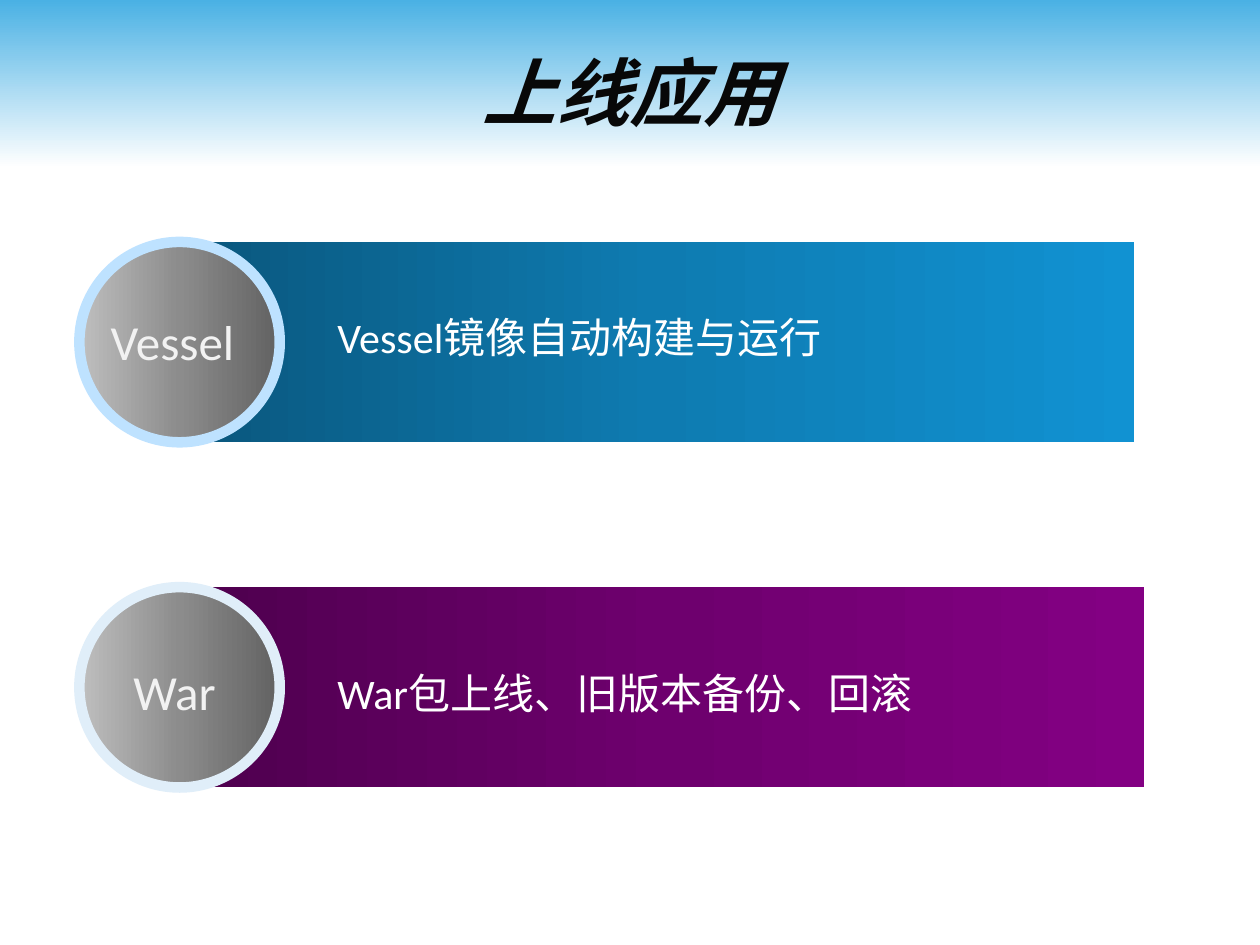
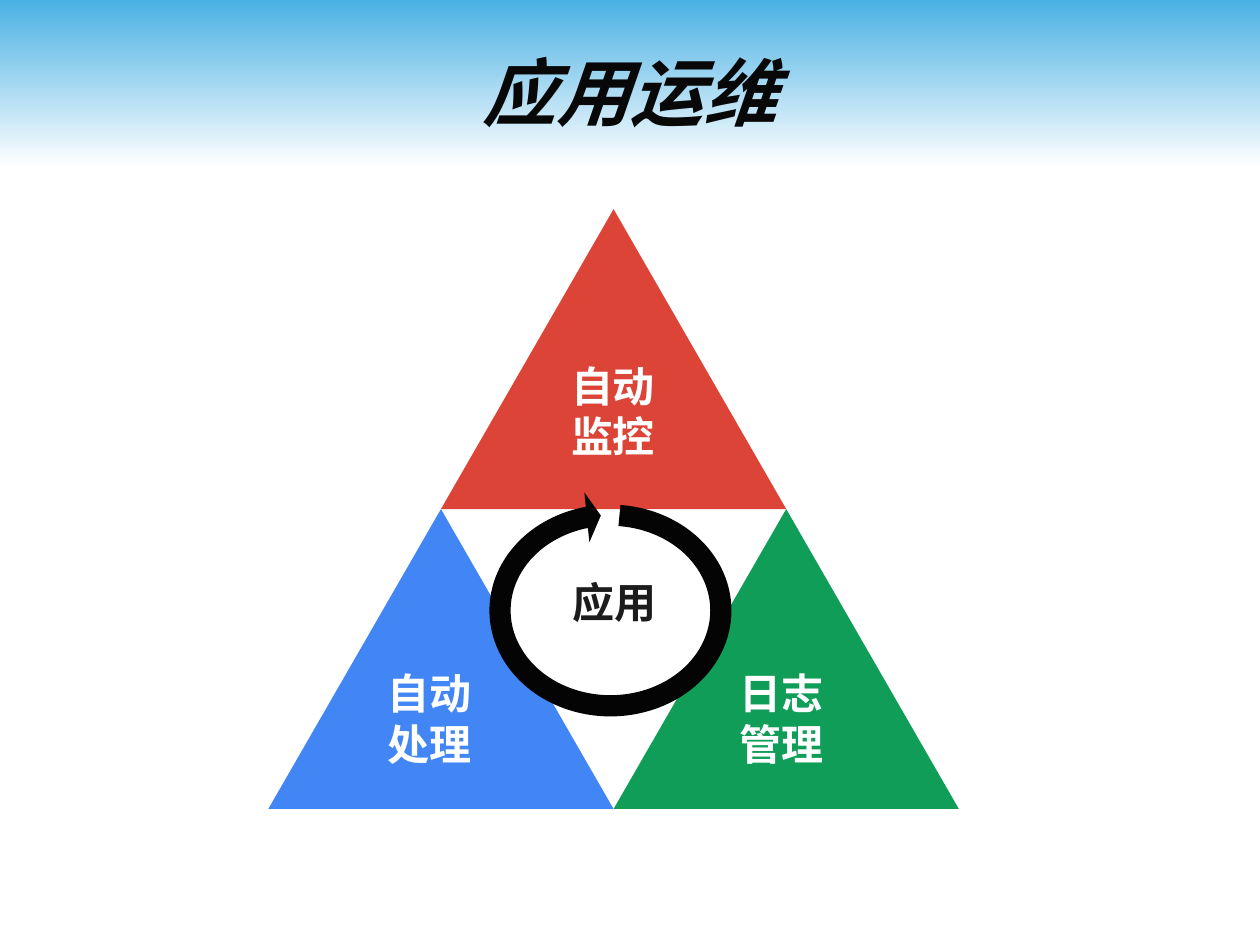
from lxml import etree
from pptx import Presentation
from pptx.dml.color import RGBColor
from pptx.enum.shapes import MSO_SHAPE
from pptx.enum.text import MSO_ANCHOR, MSO_AUTO_SIZE, PP_ALIGN
from pptx.oxml.ns import qn
from pptx.util import Inches, Pt

RECT = MSO_SHAPE.RECTANGLE
OVAL = MSO_SHAPE.OVAL
ARROW = MSO_SHAPE.CIRCULAR_ARROW
LEFT = PP_ALIGN.LEFT
CENTER = PP_ALIGN.CENTER
TOP = MSO_ANCHOR.TOP
MIDDLE = MSO_ANCHOR.MIDDLE
GROW = MSO_AUTO_SIZE.SHAPE_TO_FIT_TEXT

COLS, ROWS = 100, 75
CELL = Inches(10) // COLS
PAGE = (0, 0, COLS, ROWS)

INK = {
    "sky": "4AB1E4", "white": "FFFFFF", "title": "080808",
    "deep": "0A567C", "sea": "0E7BB1", "blue": "1192D2",
    "plum": "4E004E", "grape": "6E006E", "violet": "830083",
    "coal": "626262", "steel": "8C8C8C", "silver": "BFBFBF",
    "ice": "BEE2FF", "mist": "E0EEF9", "pale": "F2F2F2",
    "red": "DB4437", "azure": "4285F4", "green": "0F9D58",
    "core": "1C1C1C", "ring": "040404",
}


def rgb(name):
    return RGBColor.from_string(INK[name])


def inner(box, left, top, wide, high):
    return box[0] + left, box[1] + top, wide, high


def emu(box):
    return [round(side * CELL) for side in box]


def blend(shape, names, angle):
    shape.fill.gradient()
    shape.fill.gradient_angle = angle
    stops = next(shape._element.spPr.iter(qn("a:gsLst")))
    for stop in list(stops):
        stops.remove(stop)
    for i, name in enumerate(names):
        stop = etree.SubElement(stops, qn("a:gs"), pos=str(100000 * i // (len(names) - 1)))
        etree.SubElement(stop, qn("a:srgbClr"), val=INK[name])


def add_form(slide, kind, box):
    shape = slide.shapes.add_shape(kind, *emu(box))
    shape.shadow.inherit = False
    shape.line.fill.background()
    return shape


def add_text(slide, box, lines, size, ink, font="Calibri", bold=False,
             slant=False, align=CENTER, anchor=TOP, wrap=True, fit=GROW):
    frame = slide.shapes.add_textbox(*emu(box)).text_frame
    frame.word_wrap = wrap
    frame.auto_size = fit
    frame.vertical_anchor = anchor
    for i, line in enumerate(lines):
        para = frame.add_paragraph() if i else frame.paragraphs[0]
        para.alignment = align
        run = para.add_run()
        run.text = line
        run.font.name = font
        run.font.size = Pt(size)
        run.font.bold = bold
        run.font.italic = slant
        run.font.color.rgb = rgb(ink)


def add_head(slide, box, title):
    band = add_form(slide, RECT, inner(box, 0, 0, COLS, 13.3))
    blend(band, ("sky", "white"), 270)
    add_text(slide, inner(box, 5, 2.5, 90, 9.5), [title], 42, "title", "Arial",
             bold=True, slant=True, anchor=MIDDLE, fit=MSO_AUTO_SIZE.NONE)


def add_row(slide, box, bar, inks, rim, label, tag, text, drop):
    high = box[3]
    blend(add_form(slide, RECT, inner(box, bar, 0, 75.9, high)), inks, 0)
    disc = add_form(slide, OVAL, inner(box, 0, 0, high, high))
    blend(disc, ("coal", "steel", "silver"), 180)
    disc.line.color.rgb = rgb(rim)
    disc.line.width = Pt(6)
    add_text(slide, inner(box, *tag), [label], 28, "pale", align=LEFT, wrap=False)
    add_text(slide, inner(box, 19.5, drop, 61.7, 5.1), [text], 24, "white", align=LEFT)


def add_peak(slide, box, ink):
    left, top, wide, high = emu(box)
    pen = slide.shapes.build_freeform(left + wide // 2, top, scale=1.0)
    pen.add_line_segments([(left, top + high), (left + wide, top + high)], close=True)
    shape = pen.convert_to_shape()
    shape.shadow.inherit = False
    shape.fill.solid()
    shape.fill.fore_color.rgb = rgb(ink)
    shape.line.fill.background()


def add_cycle(slide, box):
    wide, high = box[2] / 2, box[3] / 2
    for col, row, ink in ((0.5, 0, "red"), (0, 1, "azure"), (1, 1, "green")):
        add_peak(slide, inner(box, col * wide, row * high, wide, high), ink)
    for spot, lines, ink in (
        ((20.4, 28.7, 14.2, 5), ["应用"], "core"),
        ((7, 35.9, 11.6, 9.1), ["自动处理"], "white"),
        ((34.9, 35.9, 11.6, 9.1), ["日志管理"], "white"),
        ((20.1, 11.5, 14.5, 9.1), ["自动", "监控"], "white"),
    ):
        add_text(slide, inner(box, *spot), lines, 24, ink, bold=True)
    ring = add_form(slide, ARROW, inner(box, 17.6, 21.1, 19.1, 21.5))
    ring.rotation = 270
    for i, value in enumerate((0.088, 5.061, 207.473, 3.242, 0.104)):
        ring.adjustments[i] = value
    ring.fill.solid()
    ring.fill.fore_color.rgb = rgb("ring")


def add_page(deck, title):
    slide = deck.slides.add_slide(deck.slide_layouts[6])
    add_head(slide, PAGE, title)
    return slide


def main():
    deck = Presentation()
    deck.slide_width = COLS * CELL
    deck.slide_height = ROWS * CELL

    launch = add_page(deck, "上线应用")
    add_row(launch, inner(PAGE, 6.3, 19.2, 83.7, 15.9), 7.8, ("deep", "sea", "blue"),
            "ice", "Vessel", (1.5, 5, 13.1, 5.7), "Vessel镜像自动构建与运行", 5)
    add_row(launch, inner(PAGE, 6.3, 46.6, 84.6, 15.9), 8.6, ("plum", "grape", "violet"),
            "mist", "War", (3.3, 5.4, 8.6, 5.7), "War包上线、旧版本备份、回滚", 5.9)

    upkeep = add_page(deck, "应用运维")
    add_cycle(upkeep, inner(PAGE, 21.3, 16.6, 54.8, 47.6))

    deck.save("out.pptx")


if __name__ == "__main__":
    main()
